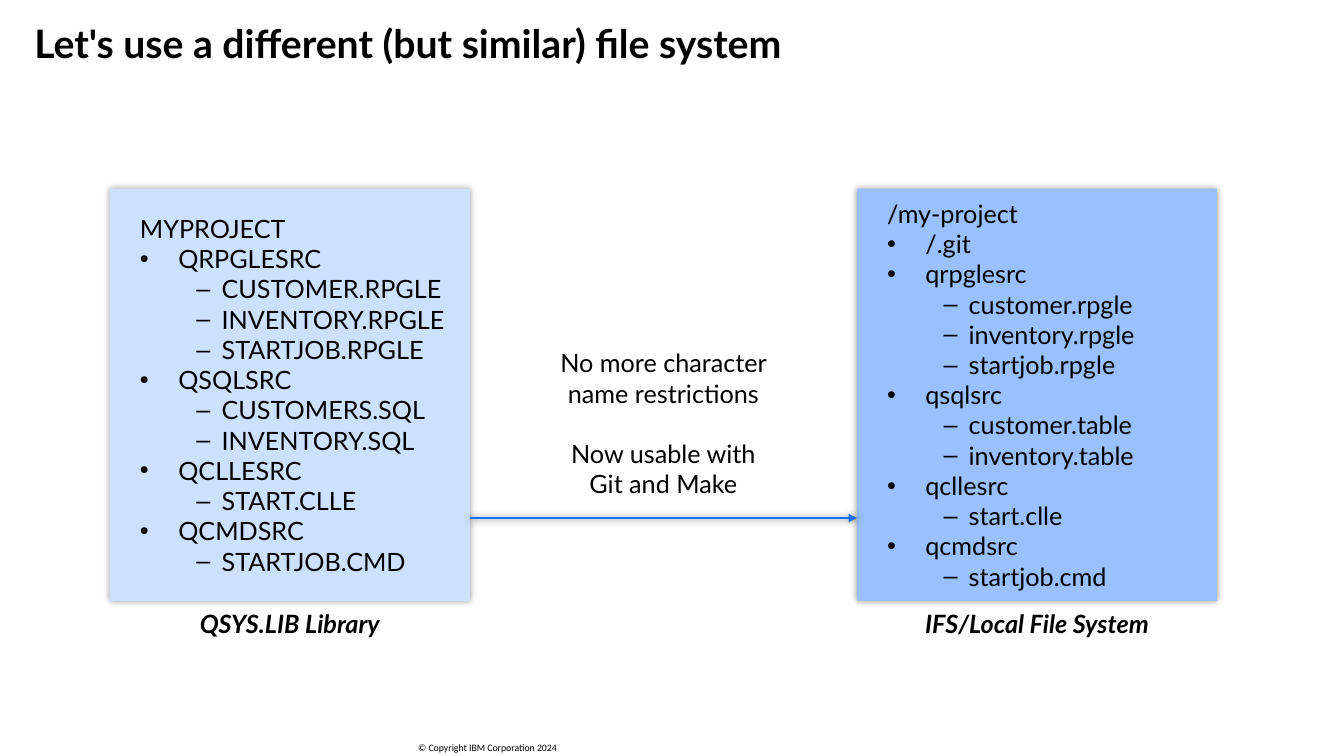
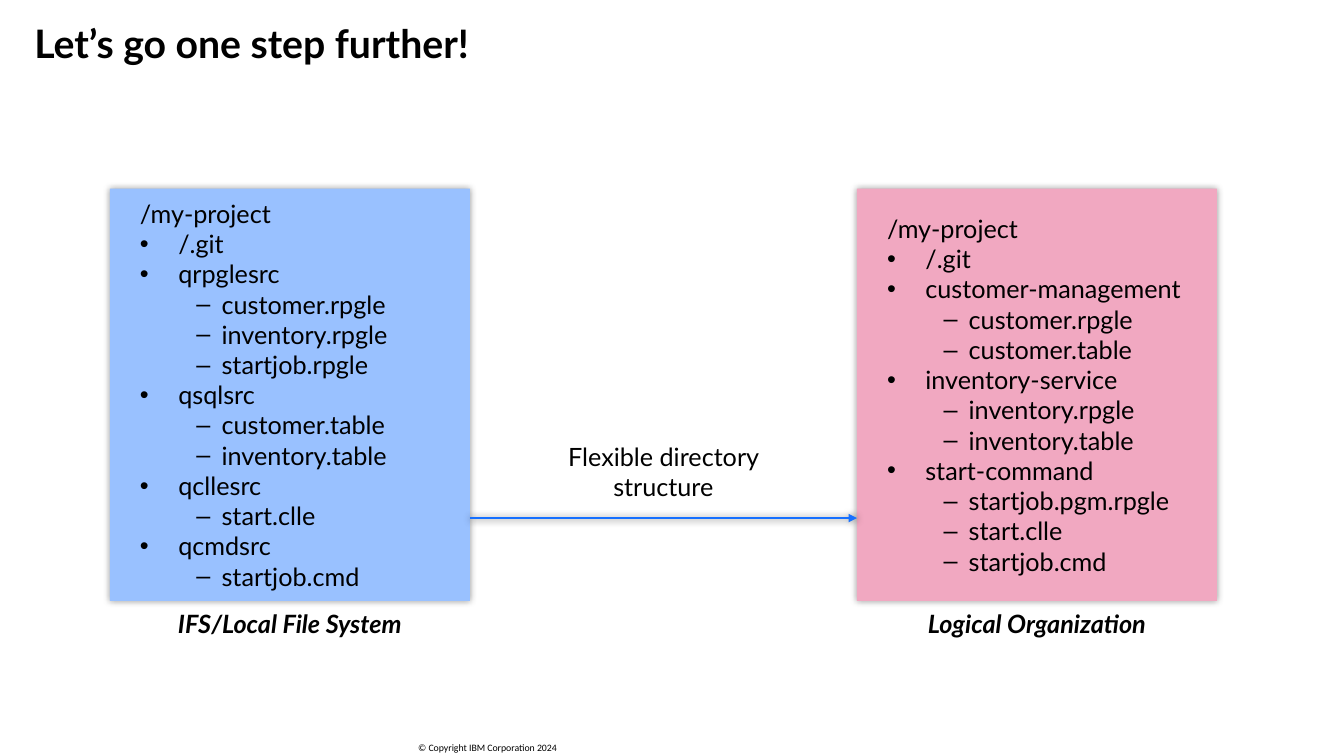
import pptx
import pptx.dml.color
import pptx.enum.dml
import pptx.enum.shapes
import pptx.enum.text
import pptx.util
from lxml import etree
from pptx.oxml.ns import qn

Inches = pptx.util.Inches
Pt = pptx.util.Pt
RGBColor = pptx.dml.color.RGBColor
PP_ALIGN = pptx.enum.text.PP_ALIGN
MSO_ANCHOR = pptx.enum.text.MSO_ANCHOR

# Shared look
BLACK = RGBColor(0x00, 0x00, 0x00)
PALE_BLUE = RGBColor(0xCC, 0xE0, 0xFF)
MID_BLUE = RGBColor(0x99, 0xC1, 0xFF)
PINK = RGBColor(0xF1, 0xA8, 0xC1)
ARROW_BLUE = RGBColor(0x16, 0x70, 0xFF)
FONT = "Lato"
FOOTER_FONT = "Calibri"
COPYRIGHT = "© Copyright IBM Corporation 2024"

# Shared layout, in inches
PANEL_W, PANEL_H, PANEL_TOP = 3.57, 4.09, 1.87
LEFT_X, RIGHT_X = 1.09, 8.5
ARROW_Y = 5.14
NOTE_W = 2.37
# Bullet character, left margin and hanging indent for each depth
BULLETS = {1: ("•", 0.38, 0.38), 2: ("–", 0.81, 0.25)}

# Directory trees: a top line, then folders with their files
LIBRARY = ("MYPROJECT", [
    ("QRPGLESRC", ["CUSTOMER.RPGLE", "INVENTORY.RPGLE", "STARTJOB.RPGLE"]),
    ("QSQLSRC", ["CUSTOMERS.SQL", "INVENTORY.SQL"]),
    ("QCLLESRC", ["START.CLLE"]),
    ("QCMDSRC", ["STARTJOB.CMD"]),
])
LOCAL_FILES = ("/my-project", [
    ("/.git", []),
    ("qrpglesrc", ["customer.rpgle", "inventory.rpgle", "startjob.rpgle"]),
    ("qsqlsrc", ["customer.table", "inventory.table"]),
    ("qcllesrc", ["start.clle"]),
    ("qcmdsrc", ["startjob.cmd"]),
])
LOGICAL = ("/my-project", [
    ("/.git", []),
    ("customer-management", ["customer.rpgle", "customer.table"]),
    ("inventory-service", ["inventory.rpgle", "inventory.table"]),
    ("start-command", ["startjob.pgm.rpgle", "start.clle", "startjob.cmd"]),
])

LIBRARY_PANEL = (LIBRARY, PALE_BLUE, "QSYS.LIB Library")
LOCAL_PANEL = (LOCAL_FILES, MID_BLUE, "IFS/Local File System")
LOGICAL_PANEL = (LOGICAL, PINK, "Logical Organization")


def add_soft_shadow(shape):
    properties = shape._element.spPr
    for old in properties.findall(qn("a:effectLst")):
        properties.remove(old)
    effects = etree.SubElement(properties, qn("a:effectLst"))
    shadow = etree.SubElement(effects, qn("a:outerShdw"), blurRad=str(Pt(5)),
                              dist="0", dir="0", algn="ctr", rotWithShape="0")
    color = etree.SubElement(shadow, qn("a:srgbClr"), val=str(BLACK))
    etree.SubElement(color, qn("a:alpha"), val="40000")


def add_text(slide, box, lines, size=18, font=FONT, bold=False, italic=False,
             align=PP_ALIGN.LEFT):
    """Place one paragraph per line in the box (left, top, width, height)."""
    frame = slide.shapes.add_textbox(*map(Inches, box)).text_frame
    frame.word_wrap = True
    frame.text = "\n".join(lines)
    for paragraph in frame.paragraphs:
        paragraph.alignment = align
        for run in paragraph.runs:
            run.font.name = font
            run.font.size = Pt(size)
            run.font.bold = bold
            run.font.italic = italic
            run.font.color.rgb = BLACK
    return frame


def set_bullet(paragraph, depth):
    char, margin, hanging = BULLETS[depth]
    paragraph.level = depth - 1
    properties = paragraph._p.get_or_add_pPr()
    properties.set("marL", str(Inches(margin)))
    properties.set("indent", str(-Inches(hanging)))
    etree.SubElement(properties, qn("a:buFont"), typeface="Arial")
    etree.SubElement(properties, qn("a:buChar"), char=char)


def add_title(slide, title):
    frame = add_text(slide, (0.34, 0.24, 11.13, 0.43), [title], 28, bold=True)
    frame.margin_left = frame.margin_right = 0
    frame.margin_top = frame.margin_bottom = 0
    frame.paragraphs[0].line_spacing = 0.9


def add_footer(slide):
    add_text(slide, (4.05, 7.31, 1.77, 0.22), [COPYRIGHT], 7, FOOTER_FONT)


def add_panel(slide, left, tree, fill, caption):
    # Coloured card
    card = slide.shapes.add_shape(
        pptx.enum.shapes.MSO_SHAPE.RECTANGLE,
        *map(Inches, (left, PANEL_TOP, PANEL_W, PANEL_H)))
    card.fill.solid()
    card.fill.fore_color.rgb = fill
    card.line.fill.background()
    add_soft_shadow(card)

    # Directory tree
    root, folders = tree
    entries = [(root, 0)]
    for folder, files in folders:
        entries.append((folder, 1))
        entries.extend((file, 2) for file in files)
    listing = add_text(slide, (left + 0.2, PANEL_TOP, PANEL_W, PANEL_H),
                       [name for name, _ in entries])
    listing.vertical_anchor = MSO_ANCHOR.MIDDLE
    for paragraph, (_, depth) in zip(listing.paragraphs, entries):
        if depth:
            set_bullet(paragraph, depth)

    # Caption below the card
    add_text(slide, (left, PANEL_TOP + PANEL_H + 0.03, PANEL_W, 0.4),
             [caption], bold=True, italic=True, align=PP_ALIGN.CENTER)


def add_transition(slide, notes, note_top, note_height):
    # Arrow between the cards
    arrow = slide.shapes.add_connector(
        pptx.enum.shapes.MSO_CONNECTOR.STRAIGHT,
        *map(Inches, (LEFT_X + PANEL_W, ARROW_Y, RIGHT_X, ARROW_Y)))
    arrow.line.color.rgb = ARROW_BLUE
    arrow.line.width = Pt(2)
    etree.SubElement(arrow.line._get_or_add_ln(), qn("a:tailEnd"),
                     type="triangle")
    add_soft_shadow(arrow)

    # Notes above the arrow, one line apart
    note_left = (LEFT_X + PANEL_W + RIGHT_X - NOTE_W) / 2
    frame = add_text(slide, (note_left, note_top, NOTE_W, note_height), notes,
                     align=PP_ALIGN.CENTER)
    for paragraph in frame.paragraphs[1:]:
        paragraph.space_before = Pt(21.6)


def add_comparison_slide(deck, title, before, after, notes, note_top,
                         note_height):
    slide = deck.slides.add_slide(deck.slide_layouts[6])
    add_footer(slide)
    add_title(slide, title)
    add_panel(slide, LEFT_X, *before)
    add_panel(slide, RIGHT_X, *after)
    add_transition(slide, notes, note_top, note_height)


def main():
    deck = pptx.Presentation()
    deck.slide_width = Inches(13.33)
    deck.slide_height = Inches(7.5)
    add_comparison_slide(
        deck, "Let's use a different (but similar) file system",
        LIBRARY_PANEL, LOCAL_PANEL,
        ["No more character name restrictions",
         "Now usable with Git and Make"], 3.4, 1.62)
    add_comparison_slide(
        deck, "Let’s go one step further!", LOCAL_PANEL, LOGICAL_PANEL,
        ["Flexible directory structure"], 4.33, 0.71)
    deck.save("out.pptx")


if __name__ == "__main__":
    main()
